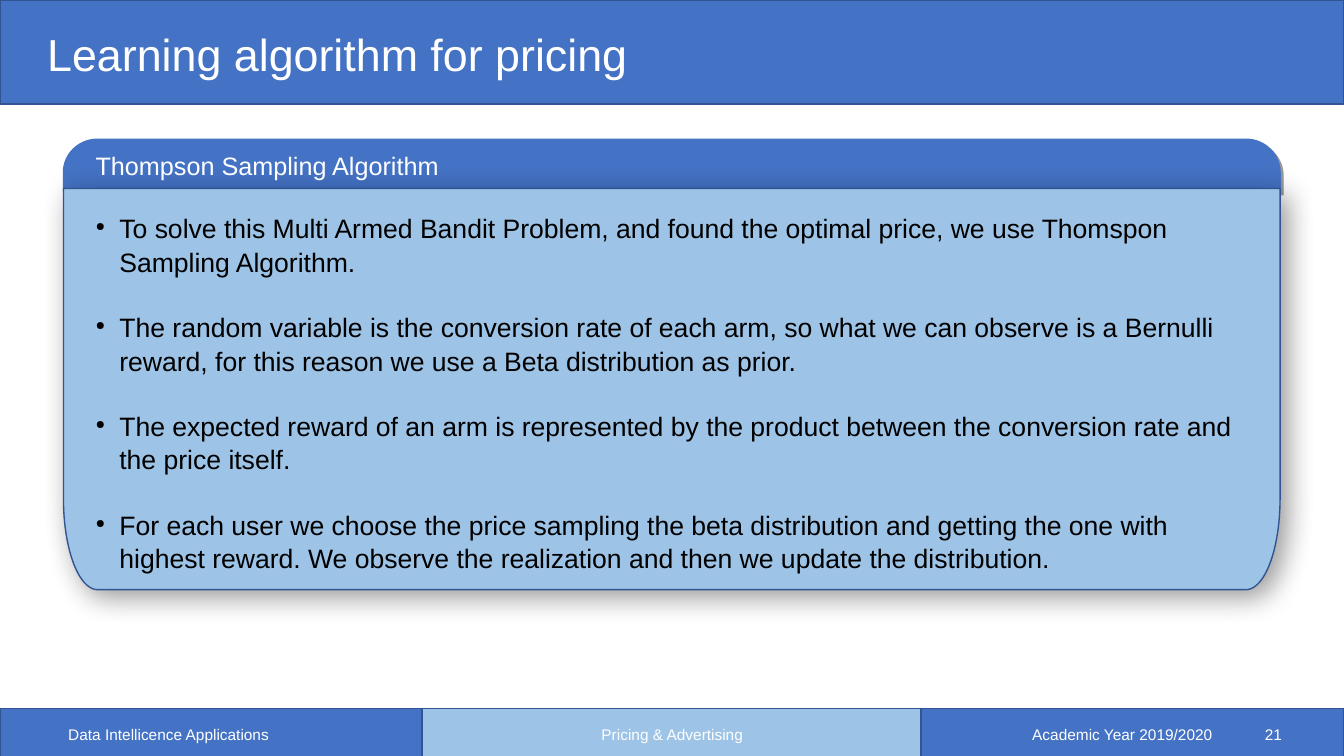
from dataclasses import dataclass
from math import cos, pi, sin

from lxml import etree
from pptx import Presentation
from pptx.dml.color import RGBColor
from pptx.enum.shapes import MSO_SHAPE
from pptx.enum.text import MSO_ANCHOR, PP_ALIGN
from pptx.oxml.ns import qn
from pptx.shapes.autoshape import Shape
from pptx.slide import Slide
from pptx.util import Cm, Pt

RECTANGLE = MSO_SHAPE.RECTANGLE
TOP, MIDDLE = MSO_ANCHOR.TOP, MSO_ANCHOR.MIDDLE
LEFT, CENTER, RIGHT = PP_ALIGN.LEFT, PP_ALIGN.CENTER, PP_ALIGN.RIGHT
ARC_STEPS = 24


@dataclass(frozen=True)
class Theme:
    font: str = "Arial"
    blue: str = "4472C4"
    light_blue: str = "9DC3E6"
    outline: str = "325491"
    white: str = "FFFFFF"
    black: str = "000000"
    title_size: int = 32
    heading_size: int = 18
    body_size: int = 19
    footer_size: int = 11


THEME = Theme()


@dataclass(frozen=True)
class Box:
    """Position and size in centimetres."""
    left: float
    top: float
    width: float
    height: float


@dataclass(frozen=True)
class Band:
    box: Box
    fill: str


@dataclass(frozen=True)
class Panel:
    """Block with two rounded corners, at the top or at the bottom."""
    box: Box
    fill: str
    line: str
    corner_height: float
    rounded_top: bool
    shadow_blur: int
    shadow_distance: int


@dataclass(frozen=True)
class Label:
    box: Box
    paragraphs: tuple[str, ...]
    size: int
    color: str = THEME.white
    anchor: MSO_ANCHOR = MIDDLE
    align: PP_ALIGN = LEFT
    line_spacing: float = 1.0
    gap: float = 0
    bulleted: bool = False


CORNER_WIDTH = 0.86
FOOTER_TOP, FOOTER_HEIGHT = 17.86, 1.24
FOOTER_TEXT_TOP, FOOTER_TEXT_HEIGHT = 18.16, 0.67

BANDS = (
    Band(Box(0, FOOTER_TOP, 33.87, FOOTER_HEIGHT), THEME.blue),
    Band(Box(10.64, FOOTER_TOP, 12.57, FOOTER_HEIGHT), THEME.light_blue),
    Band(Box(0, 0, 33.87, 2.62), THEME.blue),
)

PANELS = (
    Panel(Box(1.6, 3.51, 30.66, 1.32), THEME.blue, THEME.blue, 0.84, True, 0, 3),
    Panel(Box(1.6, 4.75, 30.66, 10.11), THEME.light_blue, THEME.outline, 2.29, False, 20, 7),
)

STEPS = (
    "To solve this Multi Armed Bandit Problem, and found the optimal price, "
    "we use Thomspon Sampling Algorithm.",
    "The random variable is the conversion rate of each arm, so what we can observe "
    "is a Bernulli reward, for this reason we use a Beta distribution as prior.",
    "The expected reward of an arm is represented by the product between "
    "the conversion rate and the price itself.",
    "For each user we choose the price sampling the beta distribution and getting the one "
    "with highest reward. We observe the realization and then we update the distribution.",
)


def footer_label(left: float, width: float, text: str, align: PP_ALIGN) -> Label:
    box = Box(left, FOOTER_TEXT_TOP, width, FOOTER_TEXT_HEIGHT)
    return Label(box, (text,), THEME.footer_size, align=align)


LABELS = (
    Label(Box(0.94, 0.61, 29.21, 1.63), ("Learning algorithm for pricing",),
          THEME.title_size, line_spacing=0.9),
    Label(Box(2.16, 5.18, 29.57, 10.39), STEPS, THEME.body_size, THEME.black,
          anchor=TOP, line_spacing=1.05, gap=22.8, bulleted=True),
    Label(Box(2.16, 3.66, 19.76, 1.35), ("Thompson Sampling Algorithm",),
          THEME.heading_size, anchor=TOP),
    footer_label(1.47, 7.62, "Data Intellicence Applications", LEFT),
    footer_label(11.23, 11.43, "Pricing & Advertising", CENTER),
    footer_label(23.19, 7.62, "Academic Year 2019/2020", RIGHT),
    footer_label(31.06, 1.5, "21", RIGHT),
)


def place(box: Box) -> tuple[Cm, Cm, Cm, Cm]:
    return Cm(box.left), Cm(box.top), Cm(box.width), Cm(box.height)


def paint(shape: Shape, fill: str, line: str) -> None:
    shape.shadow.inherit = False
    shape.fill.solid()
    shape.fill.fore_color.rgb = RGBColor.from_string(fill)
    shape.line.color.rgb = RGBColor.from_string(line)
    shape.line.width = Pt(1)


def add_band(slide: Slide, band: Band) -> None:
    paint(slide.shapes.add_shape(RECTANGLE, *place(band.box)), band.fill, THEME.outline)


def panel_outline(panel: Panel) -> list[tuple[Cm, Cm]]:
    """Trace the rounded side from left to right, then the square side back."""
    box = panel.box
    right, bottom = box.left + box.width, box.top + box.height
    rounded, square, inward = (box.top, bottom, 1) if panel.rounded_top else (bottom, box.top, -1)
    angles = [step * pi / 2 / ARC_STEPS for step in range(ARC_STEPS + 1)]
    arc = [(CORNER_WIDTH * (1 - cos(angle)),
            rounded + inward * panel.corner_height * (1 - sin(angle))) for angle in angles]
    points = [(box.left + inset, y) for inset, y in arc]
    points += [(right - inset, y) for inset, y in reversed(arc)]
    points += [(right, square), (box.left, square)]
    return [(Cm(x), Cm(y)) for x, y in points]


def add_shadow(shape: Shape, blur: int, distance: int) -> None:
    effects = shape._element.spPr.find(qn("a:effectLst"))
    shadow = etree.SubElement(effects, qn("a:outerShdw"), blurRad=str(Pt(blur)),
                              dist=str(Pt(distance)), dir="2700000", rotWithShape="0")
    color = etree.SubElement(shadow, qn("a:srgbClr"), val=THEME.black)
    etree.SubElement(color, qn("a:alpha"), val="40000")


def add_panel(slide: Slide, panel: Panel) -> None:
    start, *rest = panel_outline(panel)
    builder = slide.shapes.build_freeform(*start)
    builder.add_line_segments(rest, close=True)
    shape = builder.convert_to_shape()
    paint(shape, panel.fill, panel.line)
    add_shadow(shape, panel.shadow_blur, panel.shadow_distance)


def add_label(slide: Slide, label: Label) -> None:
    frame = slide.shapes.add_textbox(*place(label.box)).text_frame
    frame.word_wrap = True
    frame.vertical_anchor = label.anchor
    frame.text = "\n".join(label.paragraphs)
    paragraph_format = {"alignment": label.align, "line_spacing": label.line_spacing,
                        "space_after": Pt(label.gap)}
    font_format = {"name": THEME.font, "size": Pt(label.size)}
    for paragraph in frame.paragraphs:
        for name, value in paragraph_format.items():
            setattr(paragraph, name, value)
        font = paragraph.runs[0].font
        for name, value in font_format.items():
            setattr(font, name, value)
        font.color.rgb = RGBColor.from_string(label.color)
        if label.bulleted:
            properties = paragraph._p.get_or_add_pPr()
            properties.set("marL", str(Cm(0.6)))
            properties.set("indent", str(-Cm(0.6)))
            color = etree.SubElement(properties, qn("a:buClr"))
            etree.SubElement(color, qn("a:srgbClr"), val=label.color)
            etree.SubElement(properties, qn("a:buSzPct"), val="45000")
            etree.SubElement(properties, qn("a:buChar"), char="●")


def main() -> None:
    deck = Presentation()
    deck.slide_width, deck.slide_height = Cm(33.87), Cm(19.05)
    slide = deck.slides.add_slide(deck.slide_layouts[6])
    for band in BANDS:
        add_band(slide, band)
    for panel in PANELS:
        add_panel(slide, panel)
    for label in LABELS:
        add_label(slide, label)
    deck.save("out.pptx")


if __name__ == "__main__":
    main()
